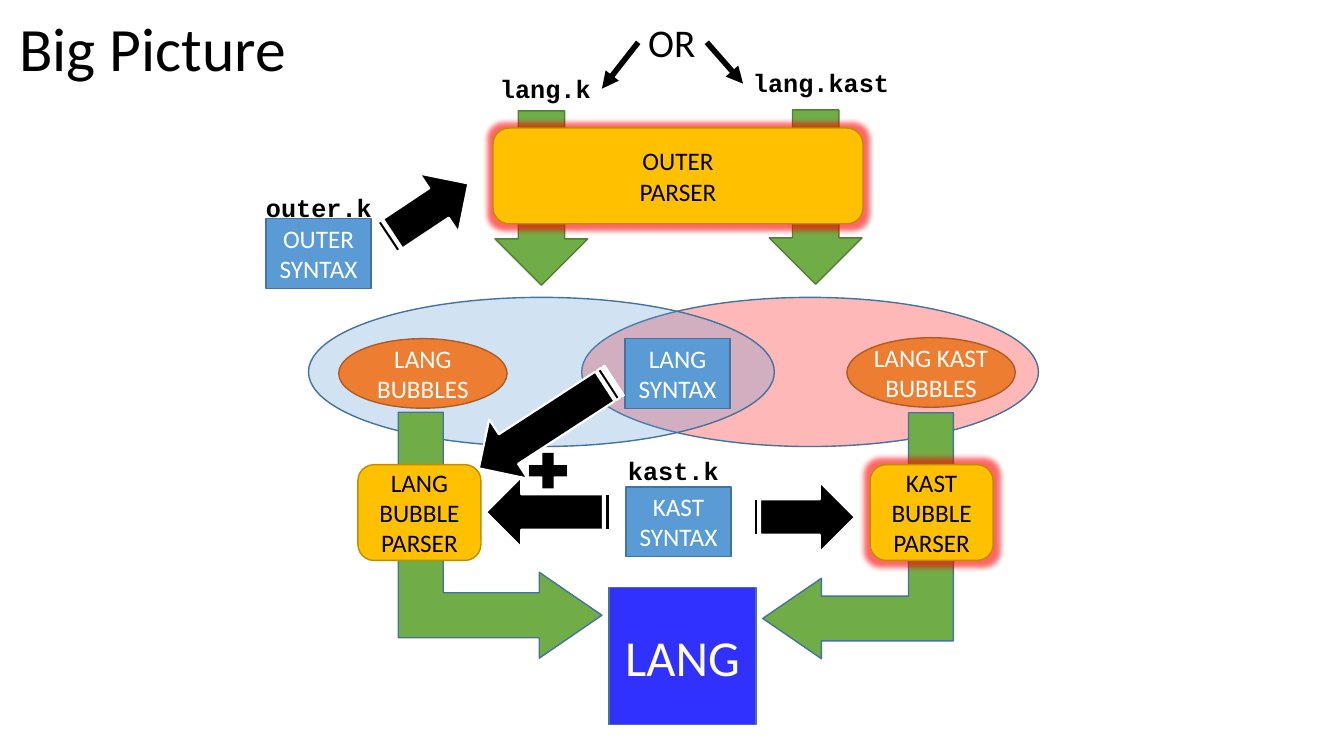
"""Build the Big Picture slide: how the parsers combine to define LANG."""
from lxml.etree import SubElement
from pptx import Presentation
from pptx.dml.color import RGBColor
from pptx.enum.dml import MSO_PATTERN
from pptx.enum.shapes import MSO_CONNECTOR, MSO_SHAPE as Preset
from pptx.enum.text import MSO_ANCHOR, MSO_AUTO_SIZE, PP_ALIGN
from pptx.oxml.ns import qn
from pptx.util import Inches, Pt

COLORS = {"black": "000000", "white": "FFFFFF", "red": "FF0000", "blue": "5B9BD5",
          "navy": "43739E", "royal": "3131FF", "green": "70AD47", "forest": "538035",
          "orange": "ED7D31", "rust": "AF5C24", "gold": "FFC000", "bronze": "BD8E00"}
STYLES = {
    "red set": (Preset.OVAL, "red", "navy", 1, "white"),
    "blue set": (Preset.OVAL, "blue", "navy", 1, "white"),
    "bent": (Preset.BENT_UP_ARROW, "green", "navy", 1, "white"),
    "down": (Preset.DOWN_ARROW, "green", "forest", 1, "white"),
    "striped": (Preset.STRIPED_RIGHT_ARROW, "black", "white", 1.5, "white"),
    "plus": (Preset.MATH_PLUS, "black", None, 0, "white"),
    "syntax": (Preset.RECTANGLE, "blue", "navy", 1, "white"),
    "language": (Preset.RECTANGLE, "royal", "navy", 1, "white"),
    "bubbles": (Preset.OVAL, "orange", "rust", 1, "white"),
    "parser": (Preset.ROUNDED_RECTANGLE, "gold", "bronze", 1, "black"),
}
PARTS = [
    ("red set", 5.77, 2.95, 4.53, 1.48, "", {}),
    ("bent", 7.29, 4.37, 2.44, 1.89, "", {"rotation": 90, "flip": True, "adjust": (0.235, 0.211, 0.308)}),
    ("blue set", 3.06, 2.95, 4.62, 1.48, "", {}),
    ("bent", 3.74, 4.3, 2.44, 2.02, "", {"rotation": 90, "adjust": (0.221, 0.211, 0.308)}),
    ("label", 2.54, 1.86, 1.26, 0.4, "outer.k", {}),
    ("striped", 3.72, 1.75, 1.01, 0.7, "", {"rotation": 326.4}),
    ("syntax", 2.64, 2.17, 1.04, 0.69, "OUTER\nSYNTAX", {}),
    ("label", 7.37, 0.62, 1.56, 0.4, "lang.kast", {}),
    ("down", 7.63, 1.09, 0.92, 1.73, "", {}),
    ("syntax", 6.2, 3.36, 1.04, 0.69, "LANG\nSYNTAX", {}),
    ("bubbles", 8.4, 3.35, 1.67, 0.69, "LANG KAST\nBUBBLES", {"wrap": False}),
    ("parser", 8.63, 4.61, 1.22, 0.95, "KAST\nBUBBLE\nPARSER", {"wrap": False, "glow": True}),
    ("language", 6.04, 5.83, 1.46, 1.36, "LANG", {"size": 36}),
    ("label", 4.86, 0.68, 1.11, 0.4, "lang.k", {}),
    ("down", 4.91, 1.1, 0.92, 1.73, "", {}),
    ("parser", 4.89, 1.27, 3.67, 0.95, "OUTER\nPARSER", {"glow": True}),
    ("bubbles", 3.36, 3.36, 1.67, 0.69, "LANG\nBUBBLES", {}),
    ("parser", 3.55, 4.61, 1.22, 0.95, "LANG\nBUBBLE\nPARSER", {"wrap": False}),
    ("label", 6.13, 4.47, 1.11, 0.4, "kast.k", {}),
    ("syntax", 6.21, 4.83, 1.04, 0.69, "KAST\nSYNTAX", {}),
    ("striped", 7.43, 4.78, 1.05, 0.7, "", {}),
    ("striped", 4.62, 3.86, 1.6, 0.7, "", {"rotation": 147}),
    ("striped", 4.82, 4.73, 1.27, 0.7, "", {"rotation": 180}),
    ("plus", 5.18, 4.43, 0.51, 0.48, "", {}),
    ("label", 6.33, 0.13, 0.68, 0.57, "OR", {"size": 28, "font": "Calibri", "bold": False}),
]


def rgb(name):
    return RGBColor.from_string(COLORS[name])


def write(frame, text, color, align, **font):
    frame.text = text
    for para in frame.paragraphs:
        para.alignment = align
        para.font.color.rgb = rgb(color)
        for key, value in font.items():
            setattr(para.font, key, value)


deck = Presentation()
deck.slide_width, deck.slide_height = Inches(13.33), Inches(7.5)
page = deck.slides.add_slide(deck.slide_layouts[5])

title = page.shapes.title
for key, value in {"left": 0.09, "top": 0.11, "width": 3, "height": 0.8}.items():
    setattr(title, key, Inches(value))
write(title.text_frame, "Big Picture", "black", PP_ALIGN.LEFT, name="Calibri", size=Pt(44))
title.text_frame.vertical_anchor = MSO_ANCHOR.MIDDLE
title.text_frame.paragraphs[0].line_spacing = 0.9

for kind, left, top, width, height, text, options in PARTS:
    place = [Inches(value) for value in (left, top, width, height)]
    size = Pt(options.get("size", 18))
    if kind == "label":
        box = page.shapes.add_textbox(*place)
        write(box.text_frame, text, "black", PP_ALIGN.LEFT, size=size,
              name=options.get("font", "Courier New"), bold=options.get("bold", True))
        box.text_frame.word_wrap = False
        box.text_frame.auto_size = MSO_AUTO_SIZE.SHAPE_TO_FIT_TEXT
        continue
    preset, fill, line, weight, ink = STYLES[kind]
    shape = page.shapes.add_shape(preset, *place)
    shape.shadow.inherit = False
    shape.rotation = options.get("rotation", 0)
    if kind == "bent":
        shape.fill.patterned()
        shape.fill.pattern = MSO_PATTERN.DARK_VERTICAL
        shape.fill.fore_color.rgb, shape.fill.back_color.rgb = rgb(fill), rgb("white")
    else:
        shape.fill.solid()
        shape.fill.fore_color.rgb = rgb(fill)
    if line:
        shape.line.color.rgb = rgb(line)
        shape.line.width = Pt(weight)
    else:
        shape.line.fill.background()
    for index, value in enumerate(options.get("adjust", ())):
        shape.adjustments[index] = value
    properties = shape.element.spPr
    if options.get("flip"):
        properties.find(qn("a:xfrm")).set("flipV", "1")
    if kind.endswith("set"):
        tint = properties.find(qn("a:solidFill"))[0]
        SubElement(tint, qn("a:alpha"), val="28000")
    if options.get("glow"):
        effects = properties.find(qn("a:effectLst"))
        glow = SubElement(effects, qn("a:glow"), rad=str(Pt(8)))
        tint = SubElement(glow, qn("a:srgbClr"), val=COLORS["red"])
        SubElement(tint, qn("a:alpha"), val="60000")
    if text:
        write(shape.text_frame, text, ink, PP_ALIGN.CENTER, name="Calibri", size=size)
        shape.text_frame.vertical_anchor = MSO_ANCHOR.MIDDLE
        shape.text_frame.word_wrap = options.get("wrap", True)

for ends in ((6.33, 0.42, 5.97, 0.88), (7.01, 0.42, 7.37, 0.83)):
    arrow = page.shapes.add_connector(MSO_CONNECTOR.STRAIGHT, *[Inches(value) for value in ends])
    arrow.line.color.rgb = rgb("black")
    arrow.line.width = Pt(4)
    SubElement(arrow.line._get_or_add_ln(), qn("a:tailEnd"), type="triangle")
    SubElement(arrow.element.spPr, qn("a:effectLst"))

deck.save("out.pptx")
